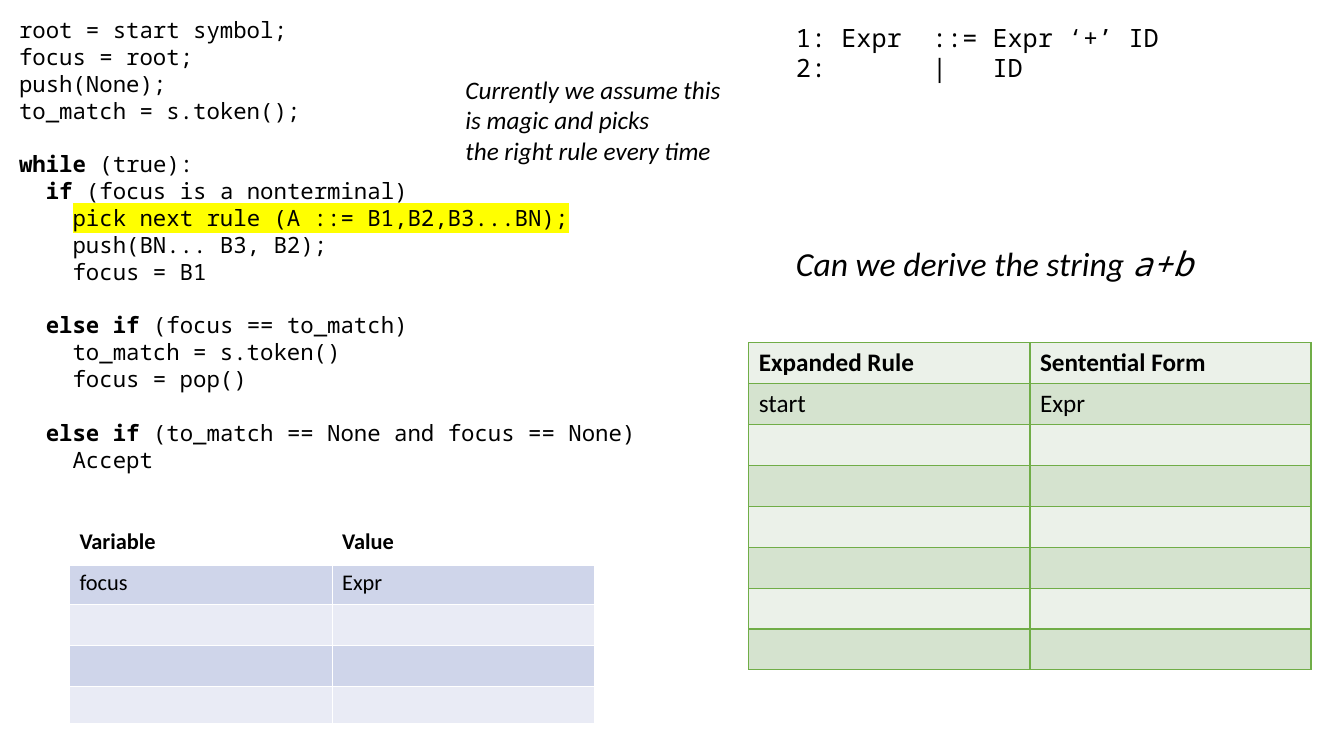
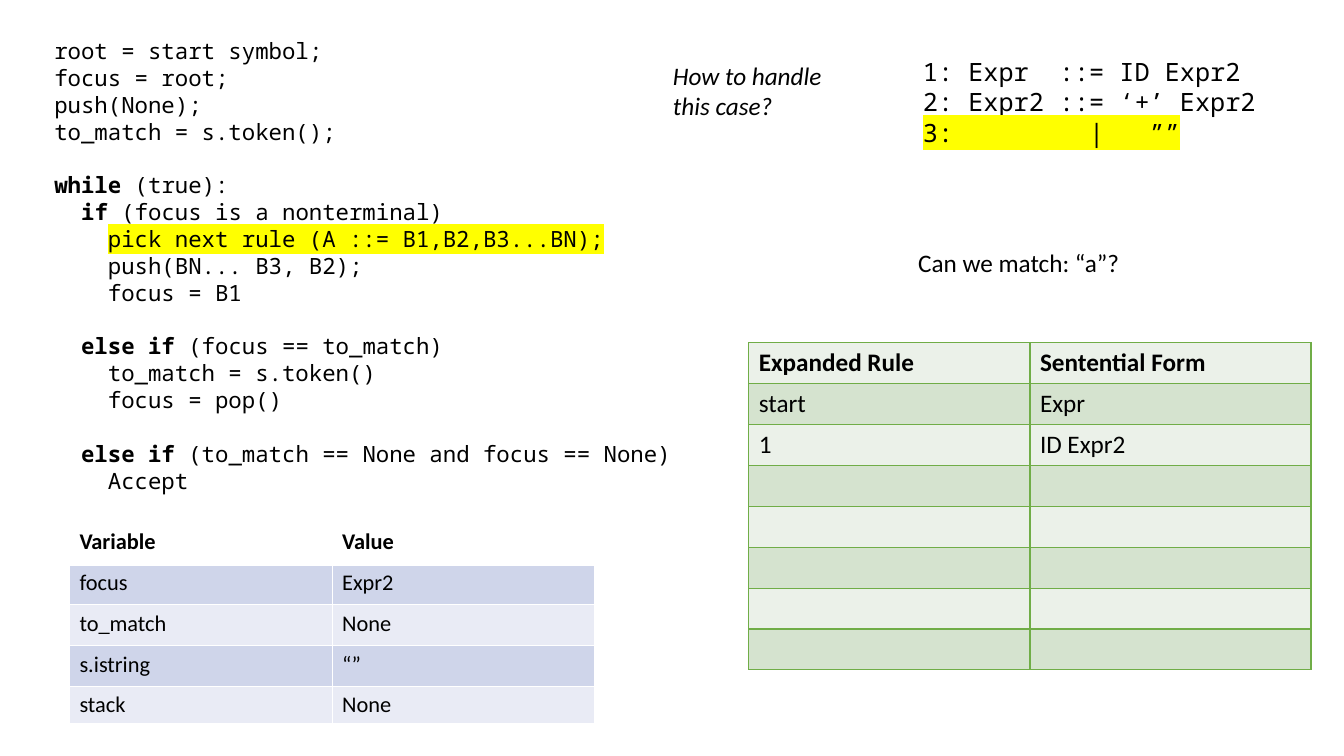
"""Build two slides that trace a top-down parser with its code, grammar and tables."""
from lxml.etree import SubElement
from pptx import Presentation
from pptx.dml.color import RGBColor as Rgb
from pptx.oxml import parse_xml
from pptx.oxml.ns import nsdecls, qn
from pptx.util import Cm, Pt

COLOURS = {
    "text": "000000",
    "marker": "FFFF00",
    "paper": "FFFFFF",
    "green_line": "70AD47",
    "green_light": "EBF1E9",
    "green_dark": "D5E3CF",
    "blue_light": "E9EBF5",
    "blue_dark": "CFD5EA",
}
SANS, MONO = "Calibri", "Noto Sans Mono"
CODE_BLOCKS = [
    [
        [("root = start symbol;", "")],
        [("focus = root;", "")],
        [("push(None);", "")],
        [("to_match = s.token();", "")],
    ],
    [
        [("while", "bold"), (" (true):", "")],
        [("  ", ""), ("if", "bold"), (" (focus is a nonterminal)", "")],
        [("    ", ""), ("pick next rule (A ::= B1,B2,B3...BN);", "marker")],
        [("    push(BN... B3, B2);", "")],
        [("    focus = B1", "")],
    ],
    [
        [("  else if ", "bold"), ("(focus == to_match)", "")],
        [("    to_match = s.token()", "")],
        [("    focus = pop()", "")],
    ],
    [
        [("  else if ", "bold"), ("(to_match == None and focus == None)", "")],
        [("    Accept", "")],
    ],
]
RULE_STYLE = {
    "place": (18.87, 8.64, 14.17),
    "heights": [1.03] * 8,
    "size": 18,
    "line": "green_line",
    "header": "green_light",
    "bands": ("green_dark", "green_light"),
    "header_rule": 1,
}
VARIABLE_STYLE = {
    "place": (1.75, 13.18, 13.24),
    "heights": [1.03] * 4 + [0.94],
    "size": 16,
    "line": "paper",
    "header": "paper",
    "bands": ("blue_dark", "blue_light"),
    "header_rule": 3,
}
PAGES = [
    {
        "code_at": (0.23, 0.28),
        "texts": [
            ((19.81, 5.99, 10.9, 1.27), SANS, 24, True,
             [[("Can we derive the string ", ""), ("a+b", "mono")]]),
            ((11.48, 1.75, 7.14, 2.57), SANS, 18, True,
             [[("Currently we assume this is magic and picks", "")],
              [("the right rule every time", "")]]),
            ((19.81, 0.43, 10.87, 1.8), MONO, 18, False,
             [[("1: Expr  ::= Expr ‘+’ ID", "")],
              [("2:       |   ID", "")]]),
        ],
        "rules": [("start", "Expr")],
        "variables": [("focus", "Expr")],
    },
    {
        "code_at": (1.12, 0.81),
        "texts": [
            ((23.01, 1.3, 10.87, 2.57), MONO, 18, False,
             [[("1: Expr  ::= ID Expr2", "")],
              [("2: Expr2 ::= ‘+’ Expr2", "")],
              [("3:         |   ””", "marker")]]),
            ((22.89, 6.12, 6.1, 1.02), SANS, 18, False,
             [[("Can we match: “a”?", "")]]),
            ((16.71, 1.4, 4.34, 1.8), SANS, 18, True,
             [[("How to handle", "")], [("this case?", "")]]),
        ],
        "rules": [("start", "Expr"), ("1", "ID Expr2")],
        "variables": [("focus", "Expr2"), ("to_match", "None"),
                      ("s.istring", "“”"), ("stack", "None")],
    },
]


def add_text(page, place, blocks, font, size, italic=False):
    frame = page.shapes.add_textbox(*map(Cm, place)).text_frame
    frame.word_wrap = True
    para = None
    for block in blocks:
        for index, line in enumerate(block):
            gap = para is not None and index == 0
            para = frame.add_paragraph() if para is not None else frame.paragraphs[0]
            para.font.name, para.font.size = font, Pt(size)
            para.font.italic = italic
            para.font.color.rgb = Rgb.from_string(COLOURS["text"])
            if gap:
                para.space_before = Pt(size * 1.2)
            for text, mark in line:
                span = para.add_run()
                span.text = text
                if mark == "bold":
                    span.font.bold = True
                elif mark == "mono":
                    span.font.name = MONO
                elif mark == "marker":
                    marker = SubElement(span.font._element, qn("a:highlight"))
                    SubElement(marker, qn("a:srgbClr"), val=COLOURS["marker"])


def add_grid(page, style, rows):
    left, top, width = style["place"]
    heights = style["heights"]
    table = page.shapes.add_table(
        len(heights), 2, Cm(left), Cm(top), Cm(width), Cm(sum(heights))).table
    for index, height in enumerate(heights):
        table.rows[index].height = Cm(height)
        words = rows[index] if index < len(rows) else ("", "")
        fill = style["bands"][(index - 1) % 2] if index else style["header"]
        for column, word in enumerate(words):
            cell = table.cell(index, column)
            cell.text = word
            font = cell.text_frame.paragraphs[0].font
            font.name, font.size, font.bold = SANS, Pt(style["size"]), index == 0
            font.color.rgb = Rgb.from_string(COLOURS["text"])
            cell.fill.solid()
            cell.fill.fore_color.rgb = Rgb.from_string(COLOURS[fill])
            borders = cell._tc.get_or_add_tcPr()
            for order, side in enumerate("LRTB"):
                under_header = (index, side) in ((0, "B"), (1, "T"))
                weight = Pt(style["header_rule"] if under_header else 1)
                borders.insert(order, parse_xml(
                    f'<a:ln{side} {nsdecls("a")} w="{weight}"><a:solidFill>'
                    f'<a:srgbClr val="{COLOURS[style["line"]]}"/>'
                    f'</a:solidFill></a:ln{side}>'))


deck = Presentation()
deck.slide_width, deck.slide_height = Cm(33.87), Cm(19.05)
for content in PAGES:
    page = deck.slides.add_slide(deck.slide_layouts[6])
    add_text(page, (*content["code_at"], 16.64, 13.94), CODE_BLOCKS, MONO, 16)
    for place, font, size, italic, lines in content["texts"]:
        add_text(page, place, [lines], font, size, italic)
    add_grid(page, RULE_STYLE,
             [("Expanded Rule", "Sentential Form")] + content["rules"])
    add_grid(page, VARIABLE_STYLE, [("Variable", "Value")] + content["variables"])
deck.save("out.pptx")
